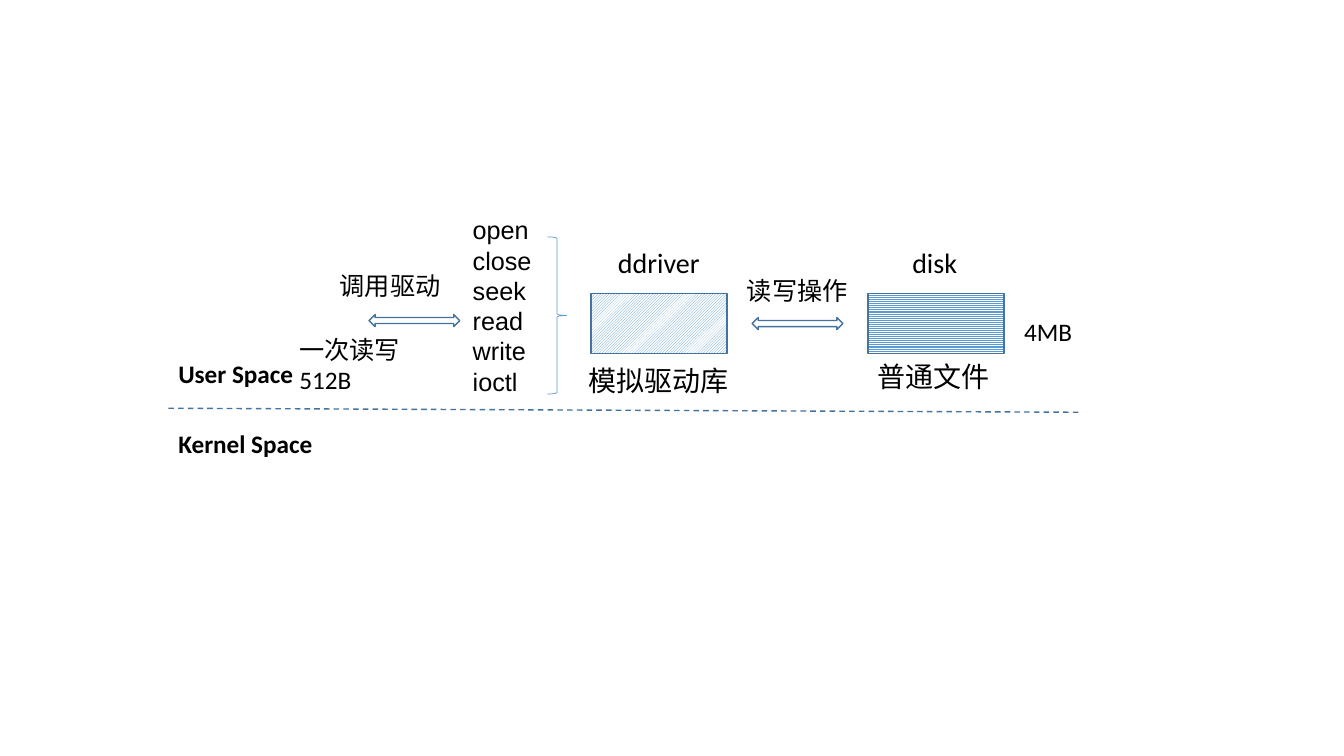
from pptx import Presentation
from pptx.dml.color import RGBColor
from pptx.enum.dml import MSO_LINE, MSO_PATTERN
from pptx.enum.shapes import MSO_CONNECTOR, MSO_SHAPE
from pptx.enum.text import MSO_AUTO_SIZE
from pptx.oxml.ns import qn
from pptx.util import Inches, Pt
from lxml import etree

BLACK = RGBColor(0x00, 0x00, 0x00)
WHITE = RGBColor(0xFF, 0xFF, 0xFF)
BLUE = RGBColor(0x5B, 0x9B, 0xD5)
DARK_BLUE = RGBColor(0x43, 0x73, 0x9E)

# Content: text, left, top, width, height, size, bold
LABELS = [
    ("User Space", 1.67, 3.51, 1.34, 0.4, 18, True),
    ("Kernel Space", 1.67, 4.2, 1.53, 0.4, 18, True),
    ("ddriver", 6.03, 2.39, 1.01, 0.44, 20, False),
    ("disk", 8.95, 2.39, 0.7, 0.44, 20, False),
    ("普通文件", 8.6, 3.52, 1.32, 0.44, 20, False),
    ("模拟驱动库", 5.74, 3.56, 1.59, 0.44, 20, False),
    ("读写操作", 7.31, 2.68, 1.2, 0.4, 18, False),
    ("4MB", 10.06, 3.09, 0.68, 0.4, 18, False),
    ("调用驱动", 3.27, 2.63, 1.2, 0.4, 18, False),
]
BLOCK_SIZE = "一次读写512B"
DRIVER_CALLS = ["open", "close", "seek", "read", "write", "ioctl"]
BOXES = [  # left, pattern
    (5.86, MSO_PATTERN.LIGHT_UPWARD_DIAGONAL),
    (8.61, MSO_PATTERN.LIGHT_HORIZONTAL),
]
ARROWS = [(7.85, 2.76), (4.05, 2.73)]  # left, top before rotation

presentation = Presentation()
presentation.slide_width = Inches(13.33)
presentation.slide_height = Inches(7.5)
slide = presentation.slides.add_slide(presentation.slide_layouts[6])


def add_text(lines, left, top, width, height, size, bold=False,
             font="Calibri", wrap=False):
    box = slide.shapes.add_textbox(
        Inches(left), Inches(top), Inches(width), Inches(height))
    frame = box.text_frame
    frame.word_wrap = wrap
    frame.auto_size = MSO_AUTO_SIZE.SHAPE_TO_FIT_TEXT
    for index, line in enumerate(lines):
        paragraph = frame.add_paragraph() if index else frame.paragraphs[0]
        run = paragraph.add_run()
        run.text = line
        run.font.name = font
        run.font.size = Pt(size)
        run.font.bold = bold
        run.font.color.rgb = BLACK


def add_outline(kind, left, top, width, height, color=DARK_BLUE, weight=1):
    shape = slide.shapes.add_shape(
        kind, Inches(left), Inches(top), Inches(width), Inches(height))
    shape.shadow.inherit = False
    shape.fill.background()
    shape.line.color.rgb = color
    shape.line.width = Pt(weight)
    return shape


# Border between user space and kernel space
border = slide.shapes.add_connector(
    MSO_CONNECTOR.STRAIGHT, Inches(1.67), Inches(4.05), Inches(10.7), Inches(4.09))
border.line.color.rgb = DARK_BLUE
border.line.width = Pt(1)
border.line.dash_style = MSO_LINE.DASH
etree.SubElement(border._element.spPr, qn("a:effectLst"))

# Driver and disk boxes
for left, pattern in BOXES:
    fill = add_outline(MSO_SHAPE.RECTANGLE, left, 2.91, 1.35, 0.6).fill
    fill.patterned()
    fill.pattern = pattern
    fill.fore_color.rgb = BLUE
    fill.back_color.rgb = WHITE

# Two-way arrows
for left, top in ARROWS:
    add_outline(MSO_SHAPE.UP_DOWN_ARROW, left, top, 0.12, 0.9).rotation = 90

# Driver calls and their brace
add_outline(MSO_SHAPE.RIGHT_BRACE, 5.43, 2.35, 0.19, 1.56, BLUE, 0.5)
add_text(DRIVER_CALLS, 4.59, 2.08, 0.84, 1.92, 18, font="Arial", wrap=True)

# Labels
for text, *placement in LABELS:
    add_text([text], *placement)
add_text([BLOCK_SIZE], 2.87, 3.27, 1.6, 0.7, 18, wrap=True)

presentation.save("out.pptx")
